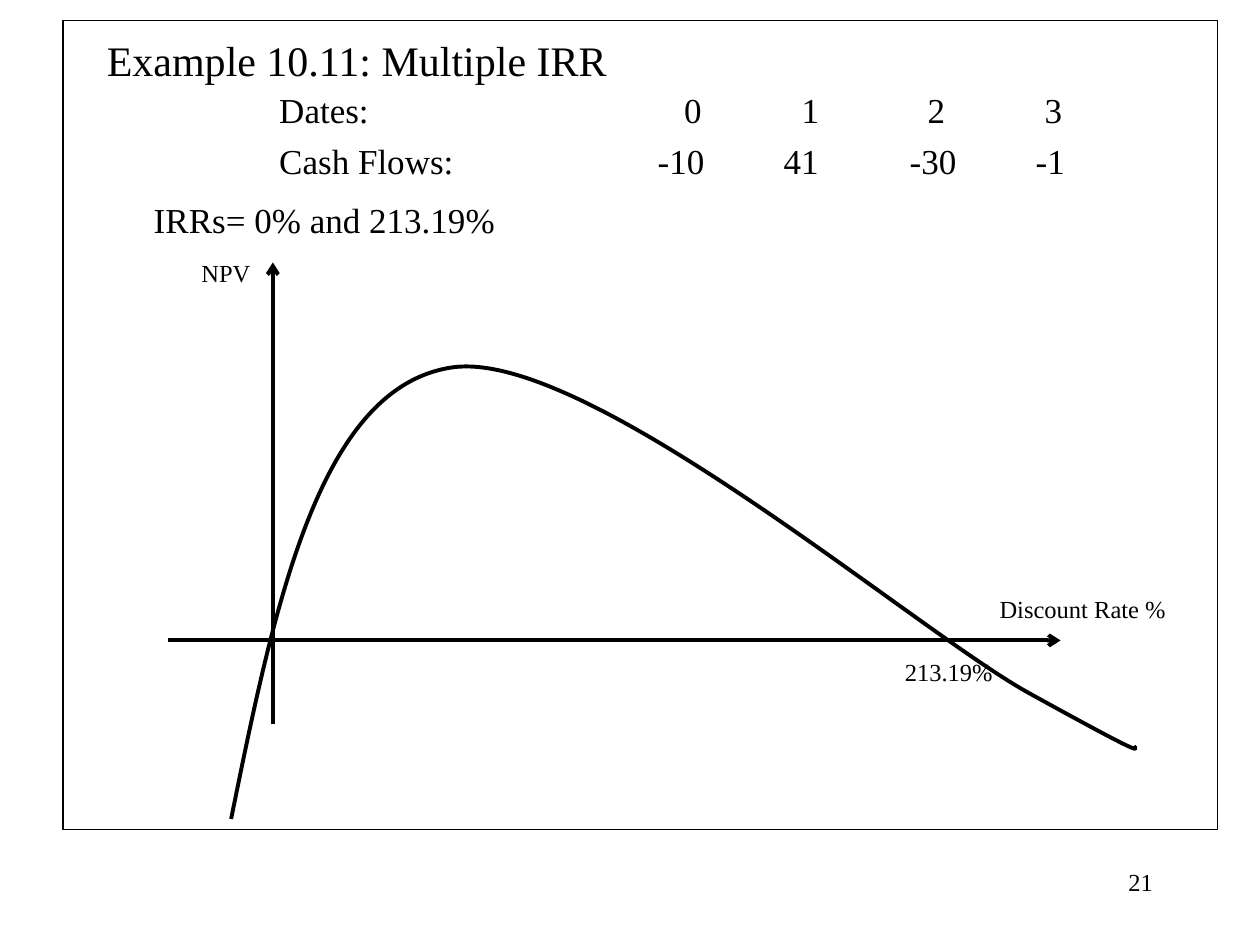
from dataclasses import dataclass

from lxml.etree import SubElement
from pptx import Presentation
from pptx.dml.color import RGBColor
from pptx.enum.shapes import MSO_CONNECTOR, MSO_SHAPE
from pptx.enum.text import MSO_ANCHOR, MSO_AUTO_SIZE, PP_ALIGN
from pptx.oxml.ns import qn
from pptx.util import Cm, Pt


@dataclass(frozen=True)
class Theme:
    font: str = "Times New Roman"
    ink: RGBColor = RGBColor(0, 0, 0)
    title_size: int = 24
    body_size: int = 20
    label_size: int = 14
    frame_width: float = 0.75
    graph_width: float = 2.25


THEME = Theme()
TITLE_ONLY = 5

# Cash flow rows: label column, first value column and column step, in cm
LABEL_STOP = 3.48
VALUE_STOP = 11.11
VALUE_STEP = 2.54
DATE_SHIFTS = (0.53, 0.36, 0.36, 0.18)
NO_SHIFTS = (0, 0, 0, 0)

# NPV curve: start point, then three points for each Bézier segment, in cm
CURVE_START = (4.66, 16.51)
CURVE_POINTS = [
    (5.54, 12.17), (6.43, 7.82), (9.1, 7.41),
    (11.79, 6.99), (18.44, 12.7), (20.74, 13.97),
    (23.04, 15.24), (22.94, 15.14), (22.86, 15.04),
]


def place(shape, left, top, width, height):
    shape.left, shape.top = Cm(left), Cm(top)
    shape.width, shape.height = Cm(width), Cm(height)


def format_paragraph(paragraph, size, align=PP_ALIGN.LEFT, space_before=0):
    paragraph.alignment = align
    paragraph.space_before = Pt(space_before)
    for run in paragraph.runs:
        run.font.name = THEME.font
        run.font.size = Pt(size)
        run.font.color.rgb = THEME.ink


def set_tab_stops(paragraph, positions):
    tab_list = SubElement(paragraph._p.get_or_add_pPr(), qn("a:tabLst"))
    for position in positions:
        SubElement(tab_list, qn("a:tab"), pos=str(Cm(position)), algn="l")


def set_outline(shape, width):
    shape.line.color.rgb = THEME.ink
    shape.line.width = Pt(width)


def add_title(slide, text):
    title = slide.shapes.title
    place(title, 1.9, 0.56, 21.6, 1.3)
    frame = title.text_frame
    frame.text = text
    frame.auto_size = MSO_AUTO_SIZE.NONE
    frame.vertical_anchor = MSO_ANCHOR.TOP
    format_paragraph(frame.paragraphs[0], THEME.title_size)


def add_text_box(slide, left, top, width, height):
    frame = slide.shapes.add_textbox(Cm(left), Cm(top), Cm(width), Cm(height)).text_frame
    frame.word_wrap = True
    return frame


def add_label(slide, text, left, top, width, height=0.85, align=PP_ALIGN.LEFT):
    frame = add_text_box(slide, left, top, width, height)
    frame.text = text
    format_paragraph(frame.paragraphs[0], THEME.label_size, align)


def add_cash_flows(slide):
    rows = [
        ("Dates:", "0", "1", "2", "3", DATE_SHIFTS, 0),
        ("Cash Flows:", "-10", "41", "-30", "-1", NO_SHIFTS, 5),
    ]
    frame = add_text_box(slide, 1.9, 1.66, 21.6, 3.2)
    for index, (*cells, shifts, space_before) in enumerate(rows):
        paragraph = frame.add_paragraph() if index else frame.paragraphs[0]
        paragraph.text = "\t" + "\t".join(cells)
        format_paragraph(paragraph, THEME.body_size, space_before=space_before)
        value_stops = [VALUE_STOP + column * VALUE_STEP + shift
                       for column, shift in enumerate(shifts)]
        set_tab_stops(paragraph, [LABEL_STOP, *value_stops])

    result = frame.add_paragraph()
    result.text = "IRRs= 0% and 213.19%"
    format_paragraph(result, THEME.body_size, space_before=10)
    result._p.get_or_add_pPr().set("marL", str(Cm(0.95)))


def add_axis(slide, start, end):
    axis = slide.shapes.add_connector(
        MSO_CONNECTOR.STRAIGHT, *map(Cm, start), *map(Cm, end))
    set_outline(axis, THEME.graph_width)
    SubElement(axis.line._get_or_add_ln(), qn("a:tailEnd"), type="arrow")
    SubElement(axis._element.spPr, qn("a:effectLst"))


def add_curve(slide, start, points):
    builder = slide.shapes.build_freeform(Cm(start[0]), Cm(start[1]))
    builder.add_line_segments([(Cm(x), Cm(y)) for x, y in points], close=False)
    curve = builder.convert_to_shape()
    curve.shadow.inherit = False
    curve.fill.background()
    set_outline(curve, THEME.graph_width)

    # Join every three line points into one Bézier segment
    lines = list(curve._element.iter(qn("a:lnTo")))
    outline = lines[0].getparent()
    for first in range(0, len(lines), 3):
        bezier = SubElement(outline, qn("a:cubicBezTo"))
        for line in lines[first:first + 3]:
            bezier.append(line[0])
            outline.remove(line)


def add_frame(slide):
    frame = slide.shapes.add_shape(
        MSO_SHAPE.RECTANGLE, Cm(1.27), Cm(0.42), Cm(23.28), Cm(16.3))
    frame.shadow.inherit = False
    frame.fill.background()
    set_outline(frame, THEME.frame_width)


def main():
    presentation = Presentation()
    presentation.slide_width, presentation.slide_height = Cm(25.4), Cm(19.05)
    slide = presentation.slides.add_slide(presentation.slide_layouts[TITLE_ONLY])

    # Heading and cash flows
    add_title(slide, "Example 10.11: Multiple IRR")
    add_cash_flows(slide)

    # NPV graph
    add_axis(slide, (5.5, 14.6), (5.5, 5.29))
    add_axis(slide, (3.39, 12.91), (21.38, 12.91))
    add_curve(slide, CURVE_START, CURVE_POINTS)
    add_label(slide, "213.19%", 17.99, 13.12, 3.39)
    add_label(slide, "Discount Rate %", 19.9, 11.85, 4.23)
    add_label(slide, "NPV", 3.81, 5.08, 4.23)

    # Frame and page number
    add_frame(slide)
    add_label(slide, "21", 18.2, 17.36, 5.29, 1.27, PP_ALIGN.RIGHT)

    presentation.save("out.pptx")


if __name__ == "__main__":
    main()
